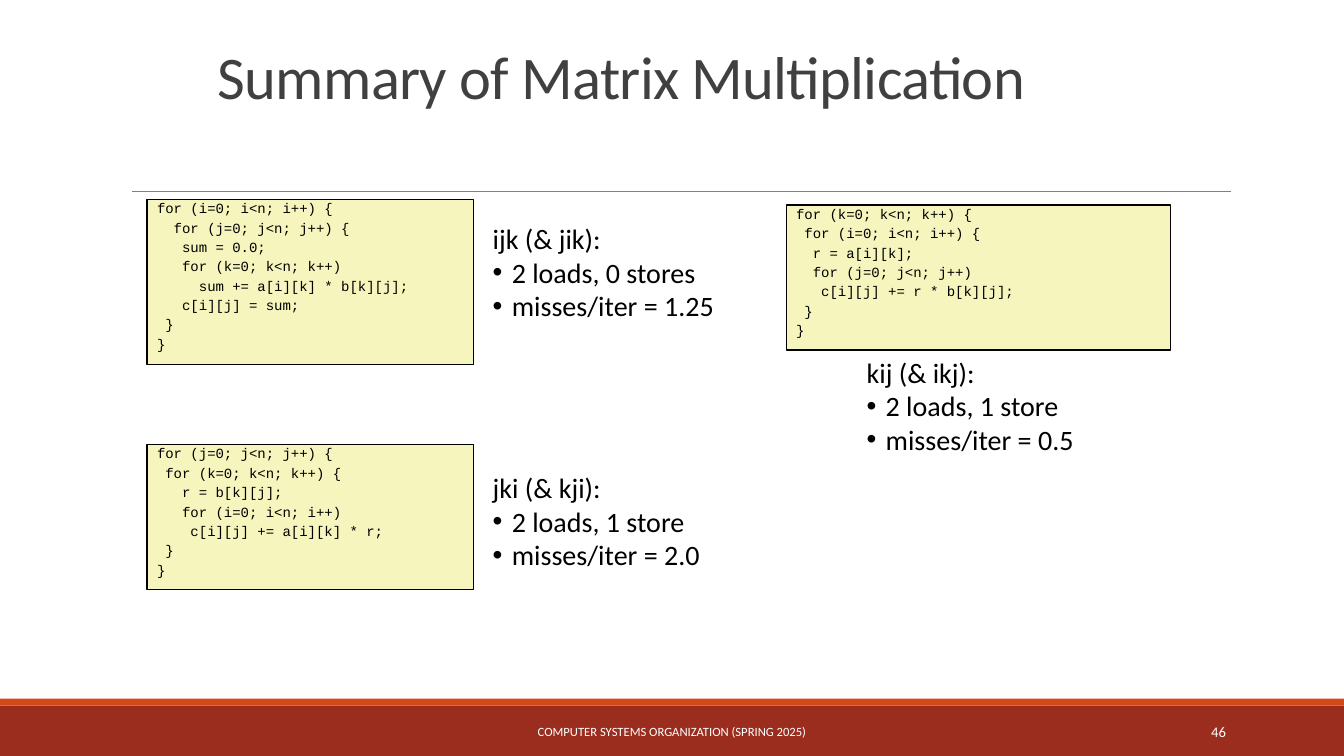
import pptx
import pptx.dml.color
import pptx.enum.shapes
import pptx.enum.text
import pptx.oxml.xmlchemy
import pptx.util
from pptx.util import Pt

ALIGN = pptx.enum.text.PP_ALIGN
ANCHOR = pptx.enum.text.MSO_ANCHOR

IJK_CODE = """for (i=0; i<n; i++) {
  for (j=0; j<n; j++) {
   sum = 0.0;
   for (k=0; k<n; k++)
     sum += a[i][k] * b[k][j];
   c[i][j] = sum;
 }
}"""
KIJ_CODE = """for (k=0; k<n; k++) {
 for (i=0; i<n; i++) {
  r = a[i][k];
  for (j=0; j<n; j++)
   c[i][j] += r * b[k][j];
 }
}"""
JKI_CODE = """for (j=0; j<n; j++) {
 for (k=0; k<n; k++) {
   r = b[k][j];
   for (i=0; i<n; i++)
    c[i][j] += a[i][k] * r;
 }
}"""


def color(hex_string):
    """Turn a hex string into a colour."""
    return pptx.dml.color.RGBColor.from_string(hex_string)


def write(para, text, size, font="Calibri", ink="000000", align=ALIGN.LEFT,
          leading=None, before=0, tracking=None):
    """Put formatted text into a paragraph."""
    para.alignment = align
    para.space_before = Pt(before)
    if leading:
        para.line_spacing = leading
    span = para.add_run()
    span.text = text
    span.font.size = Pt(size)
    span.font.name = font
    span.font.color.rgb = color(ink)
    if tracking is not None:
        span.font._element.set("spc", str(tracking))


def add_child(parent, tag, **attributes):
    """Append a drawing element with the given attributes."""
    child = parent.makeelement(pptx.oxml.ns.qn(tag), attributes)
    parent.append(child)


def paragraphs(frame, count):
    """Give a text frame the wanted number of paragraphs."""
    return [frame.paragraphs[0]] + [frame.add_paragraph() for _ in range(count - 1)]


def prepare(frame, anchor):
    """Set wrapping, size behaviour and anchor of a text frame."""
    frame.word_wrap = True
    frame.auto_size = pptx.enum.text.MSO_AUTO_SIZE.NONE
    frame.vertical_anchor = anchor
    return frame


def add_rectangle(page, left, top, width, height, fill, line=None):
    """Add a flat rectangle, outlined if a line colour is given."""
    box = page.shapes.add_shape(pptx.enum.shapes.MSO_SHAPE.RECTANGLE,
                                Pt(left), Pt(top), Pt(width), Pt(height))
    box.shadow.inherit = False
    box.fill.solid()
    box.fill.fore_color.rgb = color(fill)
    if line:
        box.line.color.rgb = color(line)
        box.line.width = Pt(1)
    else:
        box.line.fill.background()
    return box


def add_text_box(page, left, top, width, height, anchor=ANCHOR.TOP):
    """Add a text box and return its frame."""
    box = page.shapes.add_textbox(Pt(left), Pt(top), Pt(width), Pt(height))
    return prepare(box.text_frame, anchor)


def add_rule(page, left, right, top):
    """Add the thin grey line under the title."""
    rule = page.shapes.add_connector(pptx.enum.shapes.MSO_CONNECTOR.STRAIGHT,
                                     Pt(left), Pt(top), Pt(right), Pt(top))
    rule.line.color.rgb = color("808080")
    rule.line.width = Pt(0.5)
    add_child(rule._element.spPr, "a:effectLst")


def add_title(page, text):
    """Place and fill the title placeholder."""
    title = page.shapes.title
    title.left, title.top = Pt(148.3), Pt(23.8)
    title.width, title.height = Pt(597.6), Pt(59.8)
    frame = prepare(title.text_frame, ANCHOR.BOTTOM)
    write(frame.paragraphs[0], text, 43.2, ink="404040", leading=0.85, tracking=-50)


def add_code(page, left, top, width, height, code):
    """Add a yellow listing with one paragraph per code line."""
    box = add_rectangle(page, left, top, width, height, "F6F5BD", "000000")
    frame = prepare(box.text_frame, ANCHOR.TOP)
    lines = code.split("\n")
    for number, (para, line) in enumerate(zip(paragraphs(frame, len(lines)), lines)):
        write(para, line, 10, font="Courier New", leading=0.7,
              before=5.4 if number else 0)


def add_cost(page, left, top, heading, *points):
    """Add a loop order heading with its bulleted costs."""
    frame = add_text_box(page, left, top, 183, 80)
    first, *rest = paragraphs(frame, 1 + len(points))
    write(first, heading, 20)
    for para, point in zip(rest, points):
        para.level = 1
        properties = para._p.get_or_add_pPr()
        properties.set("marL", str(Pt(13.6)))
        properties.set("indent", str(-Pt(13.6)))
        add_child(properties, "a:buFont", typeface="Arial")
        add_child(properties, "a:buChar", char="•")
        write(para, point, 20)


def add_footer(page, left, width, text, size, align):
    """Add white text on the footer band."""
    frame = add_text_box(page, left, 508.3, width, 28.8, ANCHOR.MIDDLE)
    write(frame.paragraphs[0], text, size, ink="FFFFFF", align=align)


def main():
    """Build and save the slide."""
    deck = pptx.Presentation()
    deck.slide_width, deck.slide_height = Pt(960), Pt(540)
    page = deck.slides.add_slide(deck.slide_layouts[5])

    add_rectangle(page, 0, 504, 960, 36, "9B2D1F")
    add_rectangle(page, 0, 499, 960, 5, "D34817")
    add_rule(page, 94.3, 879, 136.8)
    add_title(page, "Summary of Matrix Multiplication")

    add_cost(page, 344.9, 154.8, "ijk (& jik):", "2 loads, 0 stores", "misses/iter = 1.25")
    add_cost(page, 612, 250.2, "kij (& ikj):", "2 loads, 1 store", "misses/iter = 0.5")
    add_cost(page, 344.9, 332.6, "jki (& kji):", "2 loads, 1 store", "misses/iter = 2.0")

    add_code(page, 105.1, 142.4, 233.3, 118.1, IJK_CODE)
    add_code(page, 561.6, 146.4, 274.3, 103.7, KIJ_CODE)
    add_code(page, 105.1, 317.6, 233.3, 103.7, JKI_CODE)

    add_footer(page, 290.2, 379.4, "COMPUTER SYSTEMS ORGANIZATION (SPRING 2025)", 9, ALIGN.CENTER)
    add_footer(page, 779.8, 103, "46", 10.5, ALIGN.RIGHT)
    deck.save("out.pptx")


if __name__ == "__main__":
    main()
